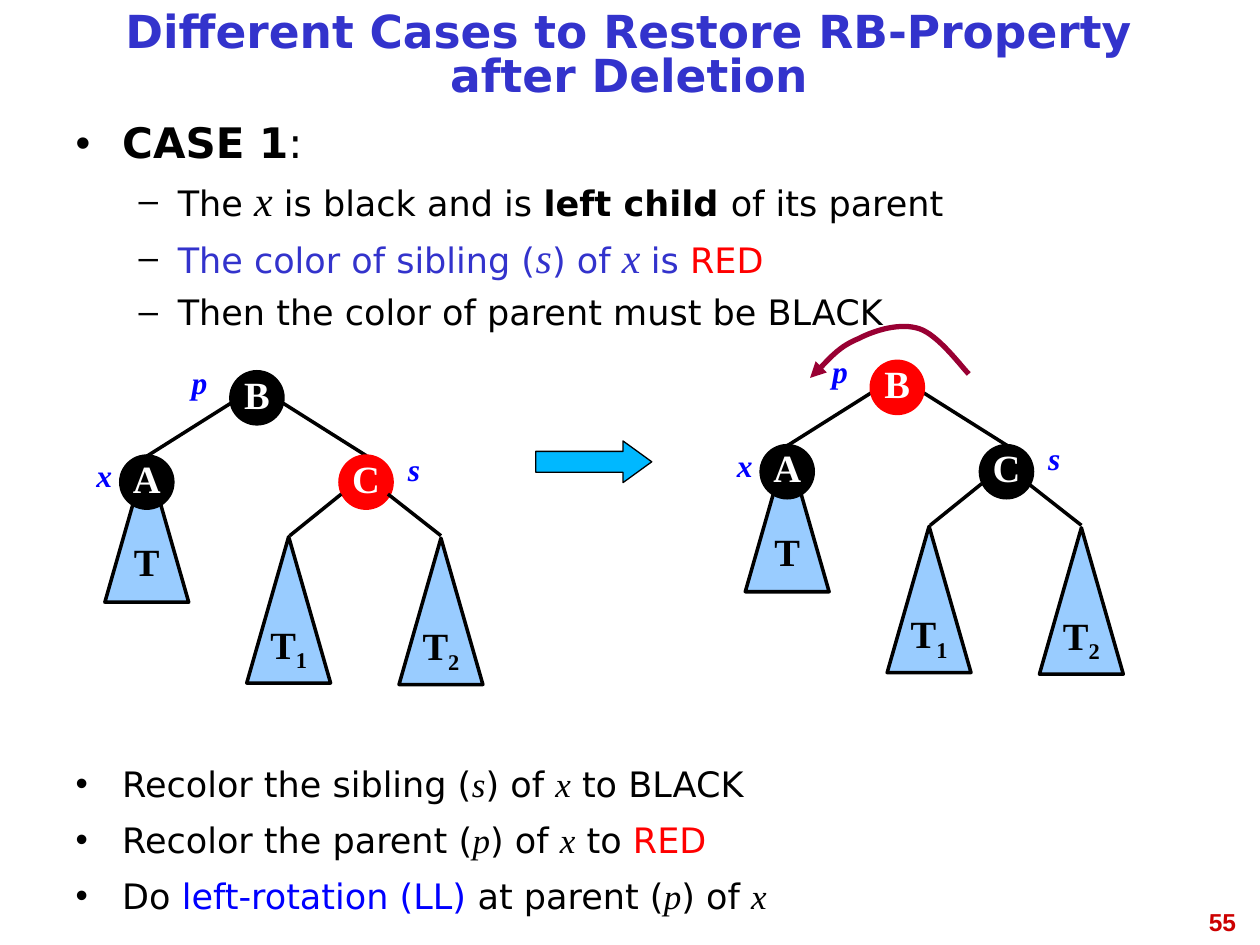
from lxml import etree
from pptx import Presentation
from pptx.dml.color import RGBColor
from pptx.enum.shapes import MSO_CONNECTOR, MSO_SHAPE
from pptx.enum.text import MSO_ANCHOR, MSO_AUTO_SIZE, PP_ALIGN
from pptx.oxml.ns import qn
from pptx.util import Cm, Pt

OVAL, CONE, ARROW = MSO_SHAPE.OVAL, MSO_SHAPE.ISOSCELES_TRIANGLE, MSO_SHAPE.RIGHT_ARROW
LINE = MSO_CONNECTOR.STRAIGHT
MIDDLE, FIXED = MSO_ANCHOR.MIDDLE, MSO_AUTO_SIZE.NONE
MID, RIGHT, FULL = PP_ALIGN.CENTER, PP_ALIGN.RIGHT, PP_ALIGN.JUSTIFY

SANS, SERIF = "DejaVu Sans", "Times New Roman"
THEME = {
    "ink": {"black": "000000", "red": "FF0000", "sky": "99CCFF",
            "cyan": "00B8FF", "wine": "990033"},
    "type": {
        "title": (26, SANS, "3333CC", "b"),
        "case": (24, SANS, "000000", "b"),
        "colon": (24, SANS, "000000", ""),
        "text": (20, SANS, "000000", ""),
        "bold": (20, SANS, "000000", "b"),
        "indigo": (20, SANS, "3333CC", ""),
        "red": (20, SANS, "FF0000", ""),
        "blue": (20, SANS, "0000FF", ""),
        "var": (24, SERIF, "000000", "i"),
        "bluevar": (24, SERIF, "3333CC", "i"),
        "step": (20, SERIF, "000000", "i"),
        "node": (22, SERIF, "FFFFFF", "b"),
        "tree": (22, SERIF, "000000", "b"),
        "sub": (22, SERIF, "000000", "bs"),
        "mark": (18, SERIF, "0000FF", "bi"),
        "page": (14, "Arial", "CC0000", "b"),
    },
}

TITLE = [("Different Cases to Restore RB-Property after Deletion", "title")]
CASE = [
    (0, [("CASE 1", "case"), (":", "colon")]),
    (1, [("The ", "text"), ("x", "var"), (" is black and is ", "text"),
         ("left child ", "bold"), ("of its parent", "text")]),
    (1, [("The color of sibling (", "indigo"), ("s", "bluevar"), (") of ", "indigo"),
         ("x ", "bluevar"), ("is ", "indigo"), ("RED", "red")]),
    (1, [("Then the color of parent must be BLACK", "text")]),
]
STEPS = [
    (0, [("Recolor the sibling (", "text"), ("s", "step"), (") of ", "text"),
         ("x", "step"), (" to BLACK", "text")]),
    (0, [("Recolor the parent (", "text"), ("p", "step"), (") of ", "text"),
         ("x", "step"), (" to ", "text"), ("RED", "red")]),
    (0, [("Do ", "text"), ("left-rotation (LL)", "blue"), (" at parent (", "text"),
         ("p", "step"), (") of ", "text"), ("x", "step")]),
]
LEVELS = [("•", 0.94, 0.94, 8), ("–", 2.06, 0.79, 7)]

NODES = {"B": (5.18, 8.02), "A": (2.96, 9.72), "C": (7.38, 9.72)}
TOP_EDGES = [(5.71, 8.13, 7.39, 9.19), (2.97, 9.19, 4.65, 8.13)]
LOW_EDGES = [(5.84, 10.8, 6.88, 9.96), (8.89, 10.8, 7.82, 9.96)]
CONES = [("", 2.96, 9.19), ("1", 5.82, 10.82), ("2", 8.89, 10.85)]
MARKS = [("p", 2.97, 7.19, 2.11), ("s", 7.61, 8.94, 1.47), ("x", 1.47, 9.07, 1.27)]
TREES = [
    (0, 0, {"B": "black", "A": "black", "C": "red"}),
    (12.91, -0.21, {"B": "red", "A": "black", "C": "black"}),
]
DISC, CONE_W, CONE_H = 1.05, 1.69, 2.95
CURVE = [(16.33, 7.62), (16.64, 7.32), (16.92, 6.99), (17.3, 6.83), (17.65, 6.65),
         (18.16, 6.5), (18.54, 6.63), (18.92, 6.76), (19.38, 7.39), (19.53, 7.54)]


def ink(name):
    return RGBColor.from_string(THEME["ink"][name])


def write(para, runs, align, gap=1.0):
    para.alignment, para.line_spacing = align, gap
    for text, kind in runs:
        size, face, tint, flags = THEME["type"][kind]
        run = para.add_run()
        run.text = text
        font = run.font
        font.size, font.name = Pt(size), face
        font.bold, font.italic = "b" in flags, "i" in flags
        font.color.rgb = RGBColor.from_string(tint)
        if "s" in flags:
            font._element.set("baseline", "-25000")


def place(shape, *box):
    shape.left, shape.top, shape.width, shape.height = map(Cm, box)
    shape.text_frame.auto_size = FIXED
    return shape.text_frame


def fill_list(shape, box, items, gap):
    frame = place(shape, *box)
    for num, (level, runs) in enumerate(items):
        para = frame.paragraphs[0] if num == 0 else frame.add_paragraph()
        sign, left, hang, above = LEVELS[level]
        para.level = level
        props = para._p.get_or_add_pPr()
        props.set("marL", str(Cm(left)))
        props.set("indent", str(-Cm(hang)))
        tint = etree.SubElement(props, qn("a:buClr"))
        etree.SubElement(tint, qn("a:srgbClr")).set("val", THEME["ink"]["black"])
        etree.SubElement(props, qn("a:buChar")).set("char", sign)
        para.space_before = Pt(above if num else 0)
        write(para, runs, FULL, gap)


def add_text(slide, box, runs, align):
    frame = slide.shapes.add_textbox(*map(Cm, box)).text_frame
    frame.word_wrap = True
    write(frame.paragraphs[0], runs, align)


def add_form(slide, kind, box, tint, edge, width, runs=()):
    shape = slide.shapes.add_shape(kind, *map(Cm, box))
    shape.shadow.inherit = False
    shape.fill.solid()
    shape.fill.fore_color.rgb = ink(tint)
    shape.line.color.rgb, shape.line.width = ink(edge), Pt(width)
    frame = shape.text_frame
    frame.word_wrap, frame.vertical_anchor = False, MIDDLE
    write(frame.paragraphs[0], runs, MID, 0.81)
    return shape


def add_edges(slide, edges, dx, dy):
    for x1, y1, x2, y2 in edges:
        edge = slide.shapes.add_connector(
            LINE, Cm(x1 + dx), Cm(y1 + dy), Cm(x2 + dx), Cm(y2 + dy))
        edge.line.color.rgb, edge.line.width = ink("black"), Pt(2)
        etree.SubElement(edge._element.spPr, qn("a:effectLst"))


def add_tree(slide, dx, dy, tints):
    add_edges(slide, TOP_EDGES, dx, dy)
    for sub, x, y in CONES:
        runs = [("T", "tree")] + ([(sub, "sub")] if sub else [])
        box = x - CONE_W / 2 + dx, y + dy, CONE_W, CONE_H
        add_form(slide, CONE, box, "sky", "black", 2, runs)
    for name, (x, y) in NODES.items():
        box = x - DISC / 2 + dx, y - DISC / 2 + dy, DISC, DISC
        add_form(slide, OVAL, box, tints[name], tints[name], 2, [(name, "node")])
    add_edges(slide, LOW_EDGES, dx, dy)
    for name, x, y, wide in MARKS:
        add_text(slide, (x + dx, y + dy, wide, 1.02), [(name, "mark")], MID)


def add_curve(slide):
    dots = [(Cm(x), Cm(y)) for x, y in CURVE]
    form = slide.shapes.build_freeform(*dots[0])
    form.add_line_segments(dots[1:], close=False)
    shape = form.convert_to_shape()
    shape.shadow.inherit = False
    shape.fill.background()
    shape.line.color.rgb, shape.line.width = ink("wine"), Pt(3)
    steps = shape._element.findall(".//" + qn("a:lnTo"))
    for start in range(0, len(steps), 3):
        bend = etree.SubElement(steps[start].getparent(), qn("a:cubicBezTo"))
        for step in steps[start:start + 3]:
            bend.append(step[0])
            step.getparent().remove(step)
    etree.SubElement(shape.line._get_or_add_ln(), qn("a:headEnd")).set("type", "triangle")


def main():
    deck = Presentation()
    deck.slide_width, deck.slide_height = Cm(25.4), Cm(19.05)
    slide = deck.slides.add_slide(deck.slide_layouts[3])
    title, case, steps = slide.placeholders
    frame = place(title, 1.27, 0.2, 22.83, 1.9)
    frame.vertical_anchor = MIDDLE
    write(frame.paragraphs[0], TITLE, MID, 0.81)
    fill_list(case, (1.27, 2.34, 22.83, 4.88), CASE, 0.9)
    fill_list(steps, (1.27, 15.24, 22.83, 3.18), STEPS, 1.0)
    for tree in TREES:
        add_tree(slide, *tree)
    arrow = add_form(slide, ARROW, (10.8, 8.89, 2.34, 0.84), "cyan", "black", 0.75)
    arrow.adjustments[1] = 0.69
    add_curve(slide)
    add_text(slide, (19.25, 18.16, 5.92, 1.32), [("55", "page")], RIGHT)
    deck.save("out.pptx")


if __name__ == "__main__":
    main()
